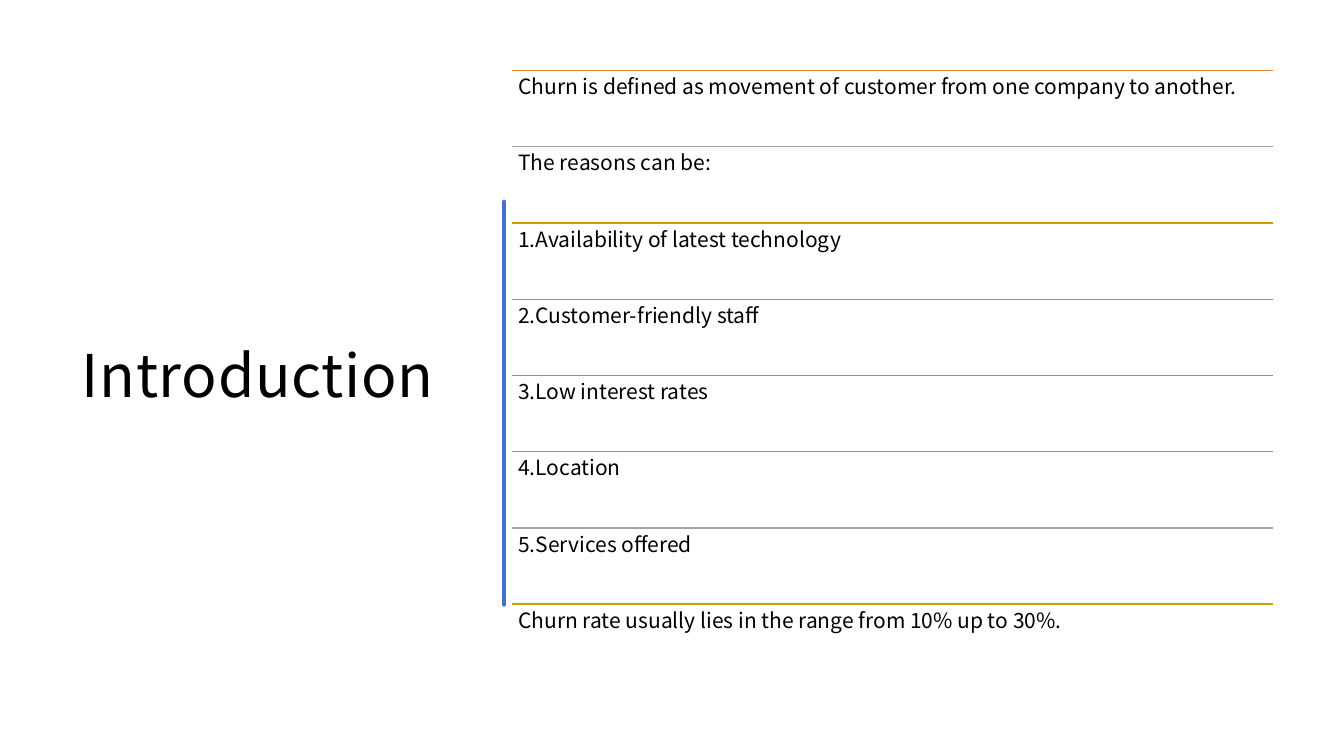
from lxml.etree import SubElement
from pptx import Presentation
from pptx.dml.color import RGBColor
from pptx.enum.text import MSO_ANCHOR, PP_ALIGN
from pptx.oxml.ns import qn
from pptx.util import Inches, Pt

COLOURS = {
    "paper": "FFFFFF",
    "ink": "000000",
    "blue": "4472C4",
    "orange": "ED7D31",
    "grey": "A3A3A3",
    "gold": "CF9B00",
    "sky": "5B9BD5",
    "green": "70AD47",
}
FONT = "Noto Sans CJK JP"
WIDTH, HEIGHT = 13.33, 7.5
RULE_COLOURS = ["orange", "grey", "gold", "sky", "green"]
STATEMENTS = [
    "Churn is defined as movement of customer from one company to another.",
    "The reasons can be:",
    "1.Availability of latest technology",
    "2.Customer-friendly staff",
    "3.Low interest rates",
    "4.Location",
    "5.Services offered",
    "Churn rate usually lies in the range from 10% up to 30%.",
]
STROKE_START = (4.72, 1.7)
STROKE_CURVES = [
    (4.73, 1.7, 4.73, 1.7, 4.74, 1.7),
    (4.76, 1.86, 4.71, 2.07, 4.74, 2.43),
    (4.77, 2.79, 4.75, 2.85, 4.74, 2.99),
    (4.72, 3.13, 4.76, 3.31, 4.74, 3.59),
    (4.71, 3.87, 4.76, 4.13, 4.74, 4.36),
    (4.72, 4.58, 4.71, 4.85, 4.74, 5.04),
    (4.77, 5.23, 4.72, 5.48, 4.74, 5.8),
    (4.73, 5.8, 4.73, 5.8, 4.72, 5.8),
    (4.74, 5.54, 4.71, 5.36, 4.72, 5.24),
    (4.73, 5.13, 4.75, 4.83, 4.72, 4.48),
    (4.69, 4.13, 4.72, 4.06, 4.72, 3.75),
    (4.71, 3.45, 4.72, 3.41, 4.72, 3.19),
    (4.72, 2.98, 4.74, 2.85, 4.72, 2.55),
    (4.7, 2.26, 4.69, 2.12, 4.72, 1.7),
]


def colour(name):
    return RGBColor.from_string(COLOURS[name])


def set_all(target, values):
    for name, value in values.items():
        setattr(target, name, value)


def add_text(shapes, box, text, size, inset, anchor):
    textbox = shapes.add_textbox(*map(Inches, box))
    frame = textbox.text_frame
    margins = {f"margin_{side}": Inches(inset) for side in ("left", "top", "right", "bottom")}
    set_all(frame, {"word_wrap": True, "vertical_anchor": anchor, **margins})
    para = frame.paragraphs[0]
    set_all(para, {"alignment": PP_ALIGN.LEFT, "line_spacing": 0.9})
    span = para.add_run()
    span.text = text
    set_all(span.font, {"name": FONT, "size": Pt(size)})
    span.font.color.rgb = colour("ink")
    return span


def add_title(page, box):
    span = add_text(page.shapes, box, "Introduction", 42, 0.12, MSO_ANCHOR.MIDDLE)
    span.font._element.set("spc", "50")


def curve_points(start, curves, steps=8):
    points = []
    for x1, y1, x2, y2, x3, y3 in curves:
        for step in range(1, steps + 1):
            t = step / steps
            u = 1 - t
            weights = (u**3, 3 * u * u * t, 3 * u * t * t, t**3)
            points.append(tuple(
                sum(weight * value for weight, value in zip(weights, values))
                for values in ((start[0], x1, x2, x3), (start[1], y1, y2, y3))
            ))
        start = (x3, y3)
    return points


def add_brush_stroke(page):
    builder = page.shapes.build_freeform(*STROKE_START, scale=Inches(1))
    builder.add_line_segments(curve_points(STROKE_START, STROKE_CURVES), close=True)
    stroke = builder.convert_to_shape()
    stroke.shadow.inherit = False
    stroke.fill.solid()
    stroke.fill.fore_color.rgb = colour("blue")
    stroke.line.color.rgb = colour("blue")
    stroke.line.width = Pt(2.75)


def add_rule(shapes, left, top, width, name):
    ends = map(Inches, (left, top, left + width, top))
    rule = shapes.add_connector(1, *ends)
    rule.line.color.rgb = colour(name)
    rule.line.width = Pt(1)
    SubElement(rule._element.spPr, qn("a:effectLst"))


def add_statements(page, box):
    left, top, width, height = box
    row_height = height / len(STATEMENTS)
    shapes = page.shapes.add_group_shape().shapes
    for row, statement in enumerate(STATEMENTS):
        row_top = top + row * row_height
        add_rule(shapes, left, row_top, width, RULE_COLOURS[row % len(RULE_COLOURS)])
        row_box = (left, row_top, width, row_height)
        add_text(shapes, row_box, statement, 15, 0.06, MSO_ANCHOR.TOP)


def main():
    deck = Presentation()
    set_all(deck, {"slide_width": Inches(WIDTH), "slide_height": Inches(HEIGHT)})
    page = deck.slides.add_slide(deck.slide_layouts[6])
    page.background.fill.solid()
    page.background.fill.fore_color.rgb = colour("paper")
    add_title(page, (0.69, 0.7, 3.74, 6.11))
    add_brush_stroke(page)
    add_statements(page, (5.08, 0.7, 7.55, 6.05))
    deck.save("out.pptx")


if __name__ == "__main__":
    main()
